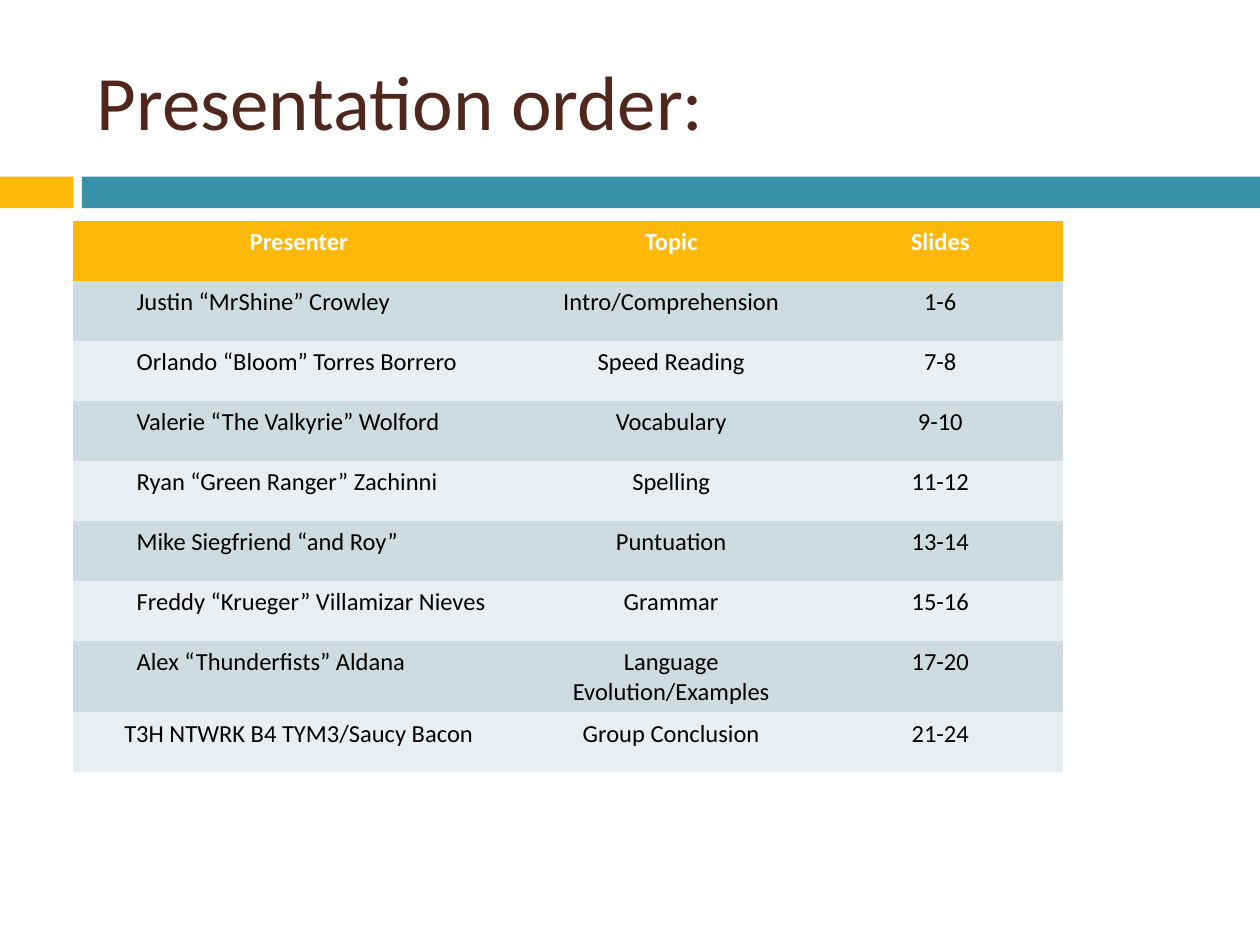
from pptx import Presentation
from pptx import util as u
from pptx.dml import color
from pptx.enum import shapes, text

GOLD, TEAL, BROWN = "FEB80A", "3891A7", "4F271C"
WHITE, BLACK = "FFFFFF", "000000"
BANDS = ("CEDCE1", "E8EEF1")
NO_GRID_STYLE = "{2D5ABB26-0587-4C30-8999-92F81FD0307C}"

HEADINGS = ("Presenter", "Topic", "Slides")
SCHEDULE = (
    ("Justin “MrShine” Crowley", "Intro/Comprehension", "1-6"),
    ("Orlando “Bloom” Torres Borrero", "Speed Reading", "7-8"),
    ("Valerie “The Valkyrie” Wolford", "Vocabulary", "9-10"),
    ("Ryan “Green Ranger” Zachinni", "Spelling", "11-12"),
    ("Mike Siegfriend “and Roy”", "Puntuation", "13-14"),
    ("Freddy “Krueger” Villamizar Nieves", "Grammar", "15-16"),
    ("Alex “Thunderfists” Aldana", "Language Evolution/Examples", "17-20"),
    ("T3H NTWRK B4 TYM3/Saucy Bacon", "Group Conclusion", "21-24"),
)


def paint(target, hex_colour):
    target.rgb = color.RGBColor.from_string(hex_colour)


class SlideBuilder:
    font = "Calibri"

    def __init__(self, slide):
        self.slide = slide

    def add_words(self, paragraph, words, size, colour, bold=False):
        run = paragraph.add_run()
        run.text = words
        run.font.name = self.font
        run.font.size = u.Pt(size)
        run.font.bold = bold
        paint(run.font.color, colour)

    def bar(self, left, top, width, height, colour):
        bar = self.slide.shapes.add_shape(
            shapes.MSO_SHAPE.RECTANGLE, *map(u.Cm, (left, top, width, height)))
        bar.shadow.inherit = False
        bar.fill.solid()
        paint(bar.fill.fore_color, colour)
        bar.line.fill.background()

    def title(self, left, top, width, height, words):
        title = self.slide.shapes.add_textbox(
            *map(u.Cm, (left, top, width, height))).text_frame
        title.word_wrap = True
        title.vertical_anchor = text.MSO_ANCHOR.MIDDLE
        self.add_words(title.paragraphs[0], words, 44, BROWN)

    def cell(self, cell, words, fill, colour=BLACK, bold=False, indented=False):
        cell.fill.solid()
        paint(cell.fill.fore_color, fill)
        paragraph = cell.text_frame.paragraphs[0]
        if indented:
            paragraph.level = 1
            paragraph._p.get_or_add_pPr().set("marL", str(u.Cm(1.02)))
        else:
            paragraph.alignment = text.PP_ALIGN.CENTER
        self.add_words(paragraph, words, 14, colour, bold)

    def schedule(self, left, top, widths, row_height, headings, entries):
        rows = len(entries) + 1
        table = self.slide.shapes.add_table(
            rows, len(widths), u.Cm(left), u.Cm(top),
            u.Cm(sum(widths)), u.Cm(row_height * rows)).table
        table._tbl.tblPr[0].text = NO_GRID_STYLE
        for column, width in zip(table.columns, widths):
            column.width = u.Cm(width)
        for row in table.rows:
            row.height = u.Cm(row_height)
        for c, heading in enumerate(headings):
            self.cell(table.cell(0, c), heading, GOLD, WHITE, bold=True)
        for r, entry in enumerate(entries):
            for c, words in enumerate(entry):
                single_presenter = c == 0 and r < len(entries) - 1
                self.cell(table.cell(r + 1, c), words, BANDS[r % 2],
                          indented=single_presenter)


def main():
    deck = Presentation()
    deck.slide_width, deck.slide_height = u.Cm(25.4), u.Cm(19.05)
    order = SlideBuilder(deck.slides.add_slide(deck.slide_layouts[6]))
    order.bar(0, 3.56, 1.48, 0.64, GOLD)
    order.bar(1.65, 3.56, 23.75, 0.64, TEAL)
    order.title(1.7, 0.64, 22.66, 2.74, "Presentation order:")
    order.schedule(1.48, 4.45, (9.09, 5.92, 4.93), 1.21, HEADINGS, SCHEDULE)
    deck.save("out.pptx")


if __name__ == "__main__":
    main()
